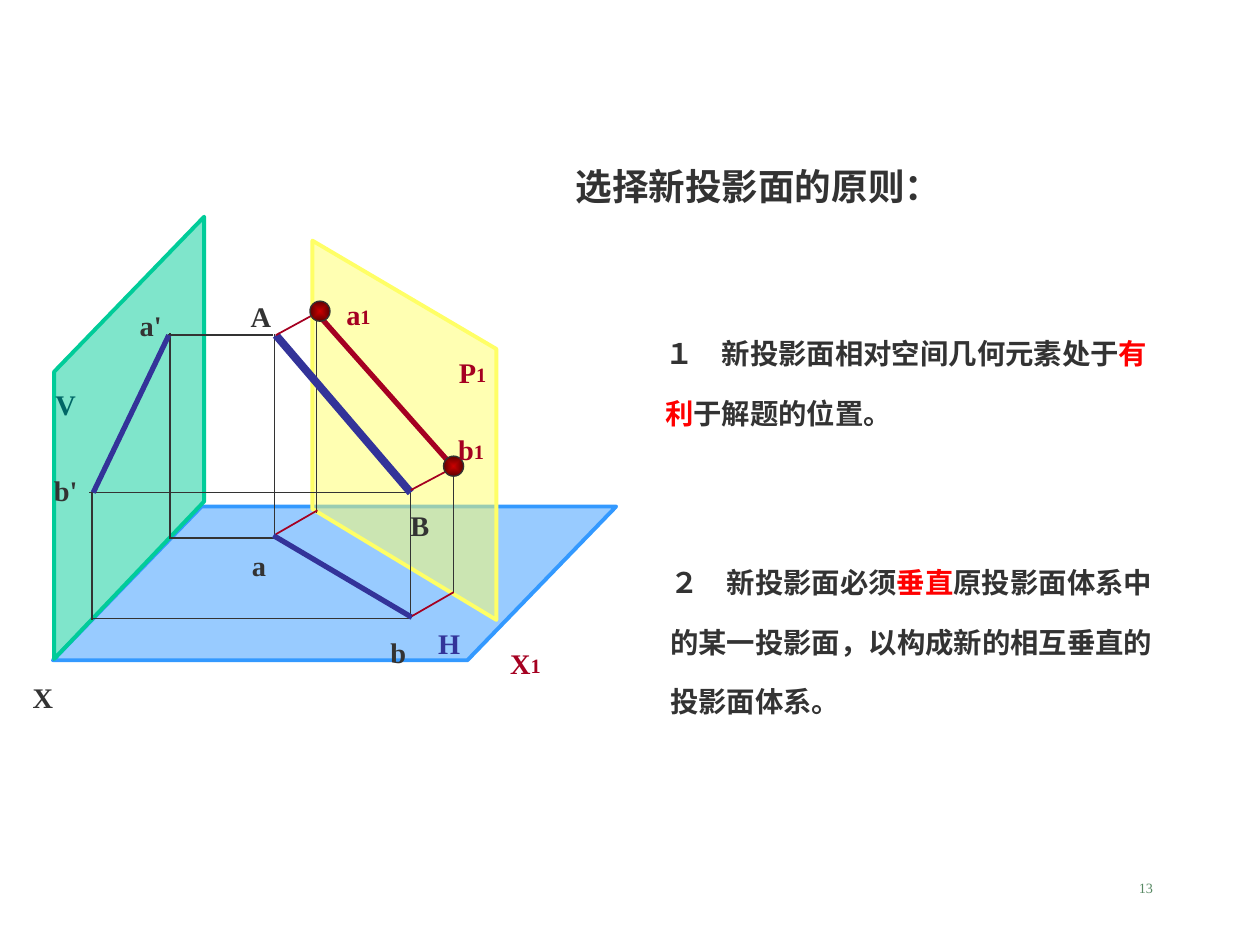
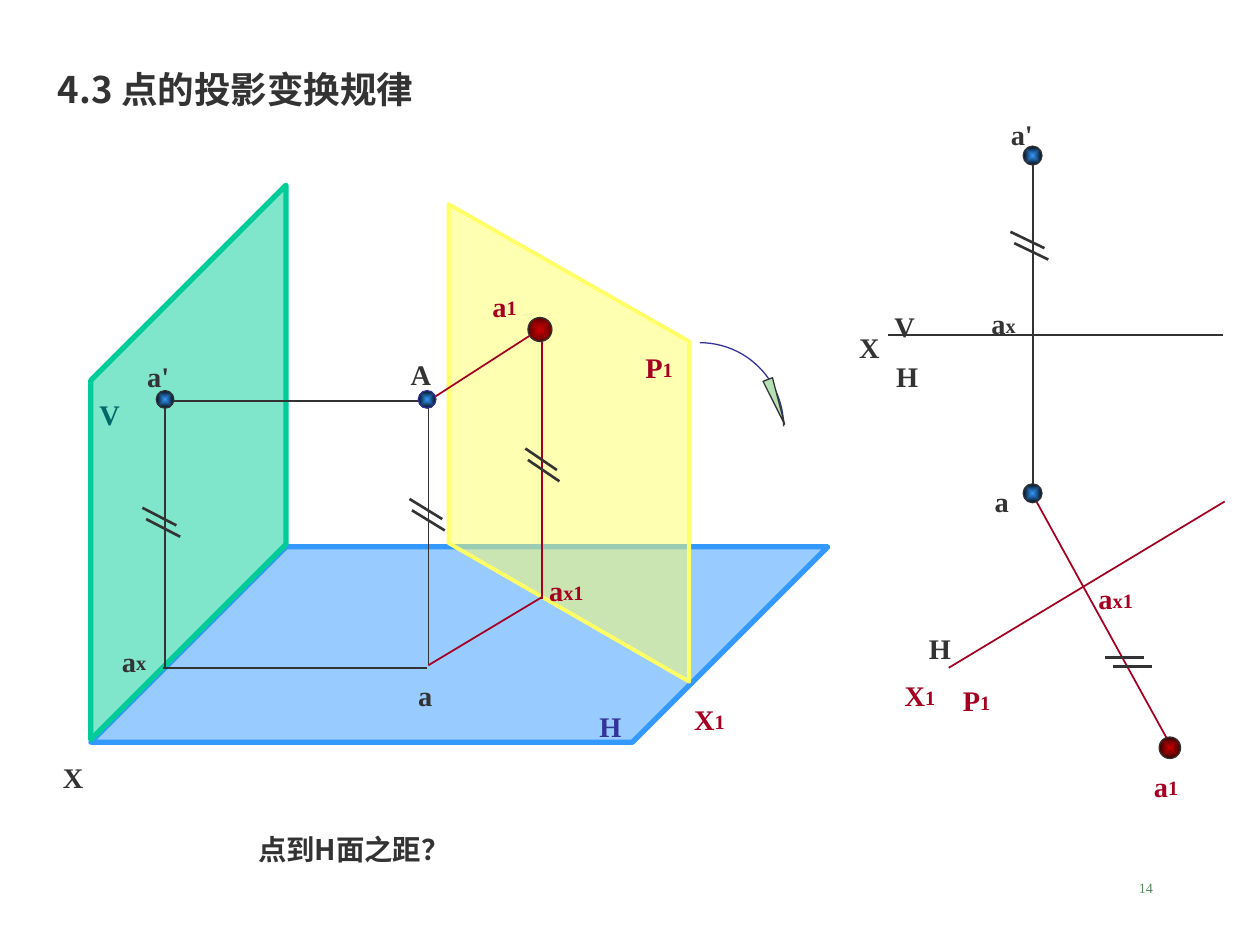
"""Build two slides on choosing and using a new projection plane."""
from lxml import etree
from pptx import Presentation
from pptx.dml.color import RGBColor
from pptx.enum.shapes import MSO_CONNECTOR, MSO_SHAPE
from pptx.enum.text import MSO_ANCHOR, MSO_AUTO_SIZE, PP_ALIGN
from pptx.oxml.ns import qn
from pptx.util import Inches, Pt

INK = RGBColor(0x33, 0x33, 0x33)
WINE = RGBColor(0xA5, 0x00, 0x21)
NAVY = RGBColor(0x33, 0x33, 0x99)
TEAL = RGBColor(0x00, 0x66, 0x66)
RED = RGBColor(0xFF, 0x00, 0x00)
BLUE = RGBColor(0x33, 0x99, 0xFF)
GREEN = RGBColor(0x00, 0xCC, 0x99)
YELLOW = RGBColor(0xFF, 0xFF, 0x66)
MINT = RGBColor(0xB3, 0xE1, 0xB3)
SAGE = RGBColor(0x57, 0x89, 0x63)
RUBY = (RGBColor(0xCC, 0x00, 0x00), RGBColor(0x5E, 0x00, 0x00))
GARNET = (RUBY[0], RGBColor(0x36, 0x00, 0x00))
AZURE = (BLUE, RGBColor(0x03, 0x0A, 0x10))
SERIF = "Times New Roman"
SANS = "Noto Sans CJK SC"


def write(frame, runs, face=SERIF, bold=True, align=PP_ALIGN.LEFT,
          anchor=MSO_ANCHOR.TOP, wrap=True, fit=MSO_AUTO_SIZE.SHAPE_TO_FIT_TEXT):
    """Fill a frame with lowered runs given as (text, size, colour)."""
    frame.word_wrap = wrap
    frame.auto_size = fit
    frame.vertical_anchor = anchor
    para = frame.paragraphs[0]
    para.alignment = align
    for text, size, color in runs:
        run = para.add_run()
        run.text = text
        run.font.size = Pt(size)
        run.font.bold = bold
        run.font.color.rgb = color
        run.font.name = face
        props = run._r.get_or_add_rPr()
        props.set("baseline", "-10000")
        etree.SubElement(props, qn("a:ea")).set("typeface", SANS)


class Board:
    """Style and current slide, with one method for each kind of element."""

    def __init__(self):
        self.deck = Presentation()
        self.deck.slide_width = Inches(10)
        self.deck.slide_height = Inches(7.5)

    def start(self, title, x, y, w, page):
        """Add a slide with its title and page number."""
        self.slide = self.deck.slides.add_slide(self.deck.slide_layouts[5])
        self.shapes = self.slide.shapes
        head = self.shapes.title
        head.left, head.top = Inches(x), Inches(y)
        head.width, head.height = Inches(w), Inches(0.7)
        write(head.text_frame, [(title, 36, INK)], face=SANS)
        self.text([(page, 14, SAGE)], 7.17, 6.83, 2.08, 0.5, bold=False,
                  align=PP_ALIGN.RIGHT, fit=MSO_AUTO_SIZE.NONE)

    def text(self, runs, x, y, w, h, **style):
        """Add a text box."""
        box = self.shapes.add_textbox(Inches(x), Inches(y), Inches(w), Inches(h))
        write(box.text_frame, runs, **style)

    def labels(self, items, **style):
        """Add letters with optional small indices."""
        for name, x, y, w, color, sub in items:
            runs = [(name, 28, color)]
            if sub:
                runs.append((sub, 20, color))
            self.text(runs, x, y, w, 0.57, wrap=False, **style)

    def plane(self, points, color, width=2.25):
        """Add a half transparent outlined plane."""
        spots = [(Inches(x), Inches(y)) for x, y in points]
        pen = self.shapes.build_freeform(*spots[0])
        pen.add_line_segments(spots[1:], close=True)
        shape = pen.convert_to_shape()
        self.paint(shape, color, width)
        shape.fill.solid()
        shape.fill.fore_color.rgb = color
        tint = shape.fill._xPr.find(qn("a:solidFill"))[0]
        etree.SubElement(tint, qn("a:alpha")).set("val", "50000")

    def paint(self, shape, color, width=0.75):
        """Outline a shape and drop its shadow."""
        shape.shadow.inherit = False
        shape.line.color.rgb = color
        shape.line.width = Pt(width)

    def line(self, x1, y1, x2, y2, color=INK, width=1):
        """Add a straight line."""
        link = self.shapes.add_connector(
            MSO_CONNECTOR.STRAIGHT, Inches(x1), Inches(y1), Inches(x2), Inches(y2))
        link.line.color.rgb = color
        link.line.width = Pt(width)
        etree.SubElement(link._element.spPr, qn("a:effectLst"))

    def ticks(self, x, y, dx, dy, gap_x, gap_y):
        """Add the pair of short strokes that marks equal lengths."""
        for left, top in ((x, y), (x + gap_x, y + gap_y)):
            self.line(left, top, left + dx, top + dy, width=1.5)

    def dot(self, x, y, size, tones, edge=INK):
        """Add a shaded point."""
        ball = self.shapes.add_shape(
            MSO_SHAPE.OVAL, Inches(x), Inches(y), Inches(size), Inches(size))
        self.paint(ball, edge)
        ball.fill.gradient()
        for stop, tone in zip(ball.fill.gradient_stops, tones):
            stop.color.rgb = tone
        grad = ball.fill._xPr.find(qn("a:gradFill"))
        grad.remove(grad.find(qn("a:lin")))
        way = etree.SubElement(grad, qn("a:path"))
        way.set("path", "shape")
        core = etree.SubElement(way, qn("a:fillToRect"))
        for side in "ltrb":
            core.set(side, "50000")

    def swing(self):
        """Add the curved arrow that turns the new plane."""
        arc = self.shapes.add_shape(
            MSO_SHAPE.ARC, Inches(4.89), Inches(2.72), Inches(1.33), Inches(1.33))
        self.paint(arc, NAVY)
        arc.fill.background()
        tip = self.shapes.add_shape(
            MSO_SHAPE.ISOSCELES_TRIANGLE, Inches(6.12), Inches(3), Inches(0.08), Inches(0.38))
        self.paint(tip, INK)
        tip.fill.solid()
        tip.fill.fore_color.rgb = MINT
        tip.rotation = 159.4


def rules(board):
    """Draw the slide on choosing the new plane."""
    board.start("选择新投影面的原则：", 4.47, 0.99, 5.37, "13")
    style = dict(anchor=MSO_ANCHOR.MIDDLE)
    board.text([("１　新投影面相对空间几何元素处于", 28, INK), ("有利", 28, RED),
                ("于解题的位置。", 28, INK)], 5.18, 2.19, 4.21, 1.5, face=SANS, **style)
    board.text([("２　新投影面必须", 28, INK), ("垂直", 28, RED),
                ("原投影面体系中的某一投影面，以构成新的相互垂直的投影面体系。", 28, INK)],
               5.22, 4.01, 4.19, 1.97, **style)
    board.plane([(0.42, 5.24), (3.71, 5.24), (4.89, 4.02), (1.6, 4.02)], BLUE)
    board.plane([(0.43, 2.95), (0.43, 5.23), (1.62, 3.98), (1.62, 1.72)], GREEN)
    board.plane([(2.48, 1.91), (2.48, 4.04), (3.94, 4.92), (3.94, 2.77)], YELLOW)
    for ends in ((2.18, 4.25, 2.18, 2.65), (3.26, 3.91, 0.71, 3.91),
                 (3.25, 4.91, 0.73, 4.91), (1.35, 4.27, 1.35, 2.64),
                 (0.73, 4.92, 0.73, 3.91), (2.18, 4.27, 1.34, 4.27),
                 (2.17, 2.66, 1.33, 2.66), (3.26, 4.87, 3.26, 3.9),
                 (3.6, 4.71, 3.6, 3.69), (2.51, 4.07, 2.51, 2.49)):
        board.line(*ends, width=0.75)
    board.line(1.34, 2.66, 0.74, 3.91, NAVY, 3)
    board.line(2.17, 4.25, 3.27, 4.9, NAVY, 3)
    board.line(3.26, 3.91, 2.19, 2.66, NAVY, 4.5)
    board.line(3.61, 3.72, 2.51, 2.48, WINE, 3)
    for ends in ((3.26, 3.89, 3.6, 3.71), (2.19, 2.66, 2.52, 2.48),
                 (3.27, 4.89, 3.6, 4.7), (2.19, 4.24, 2.52, 4.05)):
        board.line(*ends, WINE)
    board.dot(2.46, 2.39, 0.16, RUBY)
    board.dot(3.52, 3.62, 0.16, RUBY)
    board.labels((
        ("V", 0.34, 2.82, 0.48, TEAL, ""), ("H", 3.38, 4.72, 0.5, NAVY, ""),
        ("X", 0.16, 5.15, 0.48, INK, ""), ("A", 1.89, 2.12, 0.48, INK, ""),
        ("a", 1.9, 4.1, 0.4, INK, ""), ("b", 3, 4.79, 0.34, INK, ""),
        ("a'", 1.01, 2.19, 0.51, INK, ""), ("b'", 0.33, 3.5, 0.53, INK, ""),
        ("B", 3.16, 3.78, 0.46, INK, "")))
    board.labels((
        ("P", 3.46, 2.57, 0.58, WINE, "1"), ("X", 3.86, 4.88, 0.62, WINE, "1"),
        ("a", 2.58, 2.11, 0.53, WINE, "1"), ("b", 3.46, 3.18, 0.56, WINE, "1")),
        align=PP_ALIGN.CENTER, anchor=MSO_ANCHOR.MIDDLE)


def point(board):
    """Draw the slide on transforming a point."""
    board.start("4.3 点的投影变换规律", 0.36, 0.22, 6.19, "14")
    board.plane([(0.72, 5.89), (5.02, 5.89), (6.57, 4.34), (2.27, 4.34)], BLUE, 3)
    board.plane([(0.72, 3.02), (0.72, 5.87), (2.27, 4.32), (2.27, 1.47)], GREEN, 3)
    board.plane([(3.56, 1.62), (3.56, 4.31), (5.47, 5.41), (5.47, 2.71)], YELLOW)
    for ends in ((3.39, 5.3, 1.29, 5.3), (3.39, 3.18, 1.3, 3.18),
                 (3.4, 5.28, 3.4, 3.17), (1.31, 5.29, 1.31, 3.16),
                 (7.05, 2.66, 9.71, 2.66), (8.2, 1.22, 8.2, 3.92)):
        board.line(*ends)
    for ends in ((3.4, 5.28, 4.3, 4.74), (4.3, 4.75, 4.3, 2.6),
                 (3.42, 3.17, 4.32, 2.59), (7.53, 5.3, 9.72, 3.98),
                 (8.22, 3.97, 9.31, 5.95)):
        board.line(*ends, WINE)
    for marks in ((3.25, 3.96, 0.26, 0.16, 0.02, 0.09), (1.13, 4.03, 0.27, 0.14, 0.03, 0.09),
                  (4.17, 3.56, 0.25, 0.17, 0.02, 0.09), (8.02, 1.84, 0.27, 0.13, 0.03, 0.09),
                  (8.77, 5.22, 0.31, 0, 0.06, 0.07)):
        board.ticks(*marks)
    board.dot(3.32, 3.1, 0.14, AZURE, NAVY)
    board.dot(1.24, 3.1, 0.14, AZURE)
    board.dot(8.12, 1.16, 0.15, AZURE)
    board.dot(8.12, 3.84, 0.15, AZURE)
    board.dot(4.19, 2.52, 0.19, RUBY)
    board.dot(9.2, 5.85, 0.17, GARNET)
    board.swing()
    board.labels((
        ("a", 3.22, 5.13, 0.4, INK, ""), ("a'", 1.07, 2.6, 0.5, INK, ""),
        ("V", 0.69, 2.9, 0.48, TEAL, ""), ("H", 4.66, 5.38, 0.5, NAVY, ""),
        ("X", 0.4, 5.78, 0.48, INK, ""), ("X", 5.41, 5.32, 0.62, WINE, "1"),
        ("a", 4.26, 4.3, 0.67, WINE, "x1"), ("a", 3.81, 2.04, 0.53, WINE, "1"),
        ("a", 8.62, 4.36, 0.67, WINE, "x1")))
    board.labels((
        ("a", 0.8, 4.86, 0.53, INK, "x"), ("A", 3.1, 2.58, 0.48, INK, ""),
        ("P", 4.94, 2.53, 0.58, WINE, "1"), ("X", 6.66, 2.37, 0.48, INK, ""),
        ("V", 6.94, 2.2, 0.48, INK, ""), ("H", 6.95, 2.6, 0.5, INK, ""),
        ("a'", 7.86, 0.68, 0.5, INK, ""), ("a", 7.75, 3.59, 0.4, INK, ""),
        ("a", 7.7, 2.18, 0.53, INK, "x"), ("X", 6.99, 5.13, 0.62, WINE, "1"),
        ("H", 7.21, 4.76, 0.5, INK, ""), ("P", 7.46, 5.17, 0.58, WINE, "1"),
        ("a", 8.99, 5.85, 0.53, WINE, "1")),
        align=PP_ALIGN.CENTER, anchor=MSO_ANCHOR.MIDDLE)
    board.text([("点到H面之距？", 28, INK)], 1.95, 6.35, 3.53, 0.57, face=SANS)


def main():
    """Build and save the deck."""
    board = Board()
    rules(board)
    point(board)
    board.deck.save("out.pptx")


if __name__ == "__main__":
    main()
